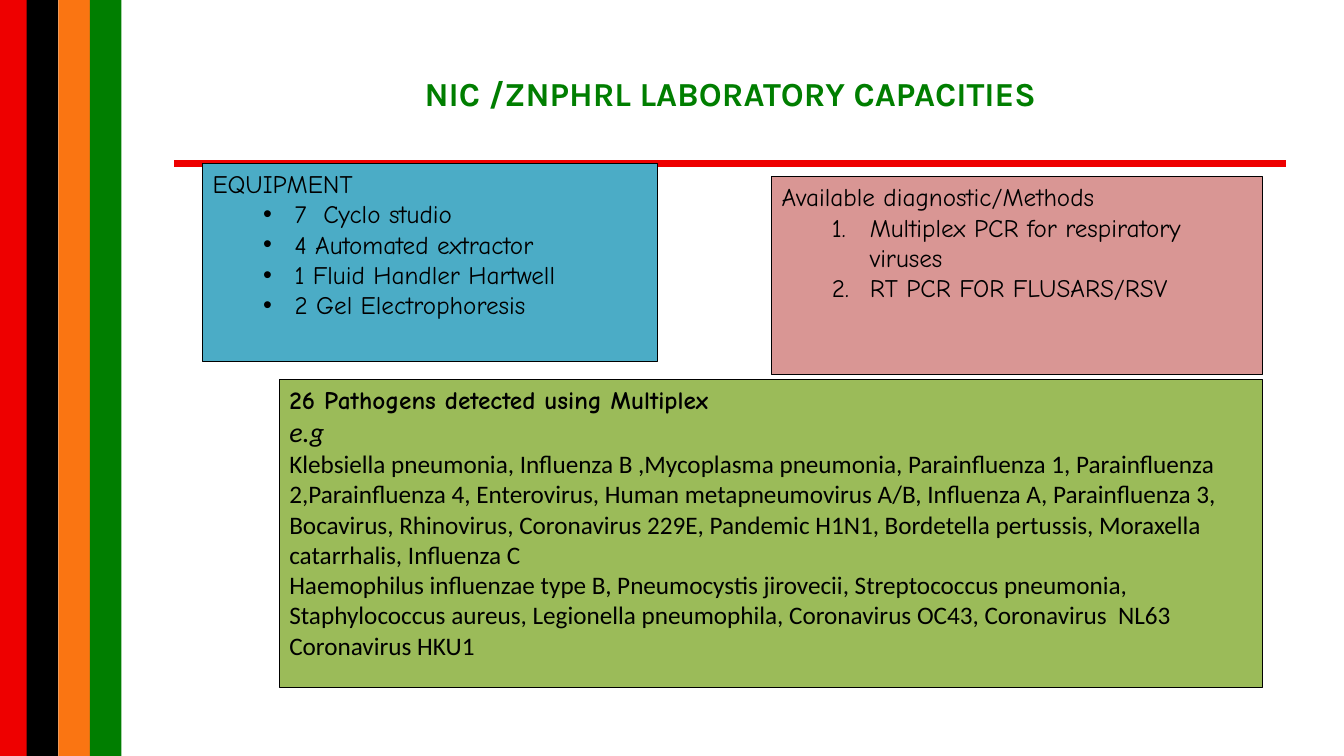
"""Build the laboratory capacities slide."""
from dataclasses import dataclass

from lxml.etree import SubElement
from pptx import Presentation
from pptx.dml.color import RGBColor
from pptx.enum.shapes import MSO_CONNECTOR, MSO_SHAPE
from pptx.enum.text import MSO_ANCHOR, PP_ALIGN
from pptx.oxml.ns import qn
from pptx.util import Pt


@dataclass(frozen=True)
class Theme:
    red: str = "EE0000"
    black: str = "000000"
    orange: str = "FA7512"
    green: str = "007E00"
    blue: str = "4BACC6"
    pink: str = "D99694"
    lime: str = "9BBB59"
    title_font: str = "Karla"
    list_font: str = "Comic Neue"
    body_font: str = "Calibri"
    title_size: int = 24
    lead_size: int = 20
    body_size: int = 18


T = Theme()
TITLE = "NIC /ZNPHRL LABORATORY CAPACITIES"
STRIPES = [(0, 19.2, T.red), (19, 22.6, T.black), (41.6, 22.6, T.orange), (64.2, 22.6, T.green)]
BULLET = dict(mark=("a:buChar", "char", "•"), indent=58.5, hang=22.5)
NUMBER = dict(mark=("a:buAutoNum", "type", "arabicPeriod"), indent=63, hang=27)
BODY = dict(font=T.body_font)
BOXES = [
    ((144.8, 116.8, 324.7, 141.6), T.blue, [
        ("EQUIPMENT", {}),
        ("7  Cyclo studio", BULLET),
        ("4 Automated extractor", BULLET),
        ("1 Fluid Handler Hartwell", BULLET),
        ("2 Gel Electrophoresis", BULLET),
    ]),
    ((551.2, 126.2, 350.6, 141.6), T.pink, [
        ("Available diagnostic/Methods", {}),
        ("Multiplex PCR for respiratory viruses", NUMBER),
        ("RT PCR FOR FLUSARS/RSV", NUMBER),
    ]),
    ((199.6, 271.2, 702.2, 219.6), T.lime, [
        ("26 Pathogens detected using Multiplex", dict(bold=True)),
        ("e.g", dict(font=T.body_font, size=T.lead_size, italic=True)),
        ("Klebsiella pneumonia, Influenza B ,Mycoplasma pneumonia, Parainfluenza 1, "
         "Parainfluenza 2,Parainfluenza 4, Enterovirus, Human metapneumovirus A/B, "
         "Influenza A, Parainfluenza 3, Bocavirus, Rhinovirus, Coronavirus 229E, "
         "Pandemic H1N1, Bordetella pertussis, Moraxella catarrhalis, Influenza C", BODY),
        ("Haemophilus influenzae type B, Pneumocystis jirovecii, Streptococcus pneumonia, "
         "Staphylococcus aureus, Legionella pneumophila, Coronavirus OC43, "
         "Coronavirus  NL63 Coronavirus HKU1", BODY),
    ]),
]


def write(p, text, font=T.list_font, size=T.body_size, color=T.black, bold=False,
          italic=False, align=PP_ALIGN.LEFT, mark=None, indent=0, hang=0):
    p.alignment = align
    r = p.add_run()
    r.text = text
    r.font.name, r.font.size = font, Pt(size)
    r.font.bold, r.font.italic = bold, italic
    r.font.color.rgb = RGBColor.from_string(color)
    if mark:
        tag, key, value = mark
        p.level = 1
        pPr = p._p.get_or_add_pPr()
        pPr.set("marL", str(Pt(indent)))
        pPr.set("indent", str(-Pt(hang)))
        SubElement(pPr, qn("a:buFont")).set("typeface", "Arial" if tag == "a:buChar" else "+mj-lt")
        SubElement(pPr, qn(tag)).set(key, value)


def add_rect(s, box, fill, line=None):
    sp = s.shapes.add_shape(MSO_SHAPE.RECTANGLE, *map(Pt, box))
    sp.shadow.inherit = False
    sp.fill.solid()
    sp.fill.fore_color.rgb = RGBColor.from_string(fill)
    if line:
        sp.line.color.rgb = RGBColor.from_string(line)
        sp.line.width = Pt(0.75)
    else:
        sp.line.fill.background()
    return sp


def add_rule(s, left, right, y):
    ln = s.shapes.add_connector(MSO_CONNECTOR.STRAIGHT, Pt(left), Pt(y), Pt(right), Pt(y))
    ln.line.color.rgb = RGBColor.from_string(T.red)
    ln.line.width = Pt(4.5)
    SubElement(ln._element.spPr, qn("a:effectLst"))


def add_title(s):
    sp = s.shapes.title
    sp.left, sp.top, sp.width, sp.height = map(Pt, (102.2, 21.6, 838.8, 90))
    tf = sp.text_frame
    tf.vertical_anchor = MSO_ANCHOR.MIDDLE
    write(tf.paragraphs[0], TITLE, font=T.title_font, size=T.title_size, color=T.green,
          bold=True, align=PP_ALIGN.CENTER)


def add_box(s, box, fill, lines):
    tf = add_rect(s, box, fill, T.black).text_frame
    tf.word_wrap = True
    tf.vertical_anchor = MSO_ANCHOR.TOP
    for i, (text, fmt) in enumerate(lines):
        write(tf.add_paragraph() if i else tf.paragraphs[0], text, **fmt)


def main():
    prs = Presentation()
    prs.slide_width, prs.slide_height = Pt(960), Pt(540)
    s = prs.slides.add_slide(prs.slide_layouts[5])
    for left, width, color in STRIPES:
        add_rect(s, (left, 0, width, 540), color)
    add_rule(s, 124.6, 918.7, 116.8)
    add_title(s)
    for box, fill, lines in BOXES:
        add_box(s, box, fill, lines)
    prs.save("out.pptx")


if __name__ == "__main__":
    main()
